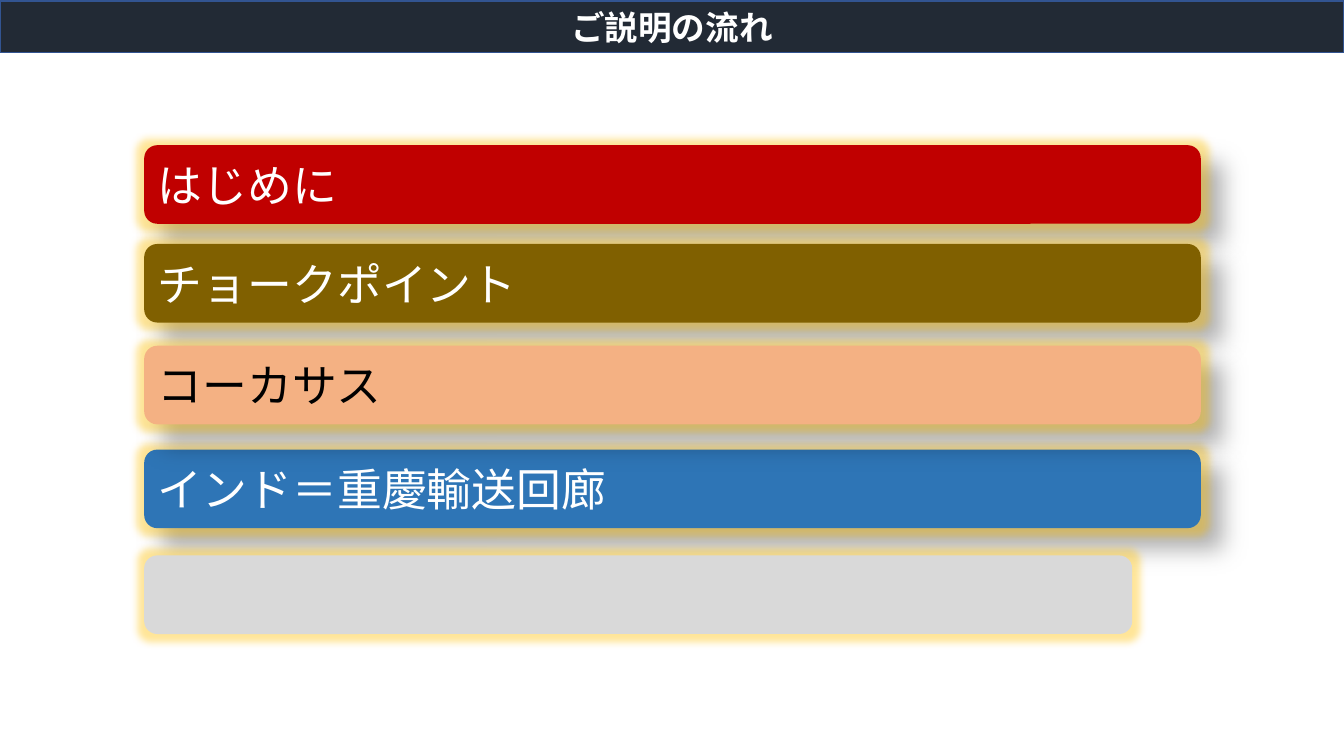
from lxml.etree import SubElement
from pptx import Presentation
from pptx.dml.color import RGBColor
from pptx.enum.shapes import MSO_SHAPE
from pptx.enum.text import MSO_ANCHOR, PP_ALIGN
from pptx.oxml.ns import qn
from pptx.util import Inches, Pt

FONT = "Noto Sans CJK JP"
WHITE = RGBColor(0xFF, 0xFF, 0xFF)
BLACK = RGBColor(0, 0, 0)
NAVY = RGBColor(0x22, 0x2A, 0x35)
EDGE = RGBColor(0x32, 0x54, 0x91)
BLUE = RGBColor(0x2E, 0x75, 0xB6)
RED = RGBColor(0xC0, 0, 0)
BROWN = RGBColor(0x80, 0x60, 0)
PEACH = RGBColor(0xF4, 0xB1, 0x83)
GREY = RGBColor(0xD9, 0xD9, 0xD9)
GOLD = RGBColor(0xFF, 0xC0, 0)

WIDE, HIGH = 13.33, 7.5
TITLE = "ご説明の流れ"
LEFT, BAR = 1.43, 0.78
FULL, SHORT = 10.48, 9.8
# Back to front: text, top, width, fill, text colour
TOPICS = [
    ("インド＝重慶輸送回廊", 4.46, FULL, BLUE, WHITE),
    ("はじめに", 1.44, FULL, RED, WHITE),
    ("チョークポイント", 2.42, FULL, BROWN, WHITE),
    ("コーカサス", 3.43, FULL, PEACH, BLACK),
    ("", 5.51, SHORT, GREY, BLACK),
]


def add_box(slide, kind, box, fill):
    shape = slide.shapes.add_shape(kind, *map(Inches, box))
    shape.shadow.inherit = False
    shape.fill.solid()
    shape.fill.fore_color.rgb = fill
    shape.line.fill.background()
    return shape


def write(shape, text, size, color, align=PP_ALIGN.LEFT, bold=False):
    frame = shape.text_frame
    frame.word_wrap = True
    frame.vertical_anchor = MSO_ANCHOR.MIDDLE
    para = frame.paragraphs[0]
    para.alignment = align
    run = para.add_run()
    run.text = text
    font = run.font
    font.size, font.bold, font.name = Pt(size), bold, FONT
    font.color.rgb = color
    SubElement(run._r.get_or_add_rPr(), qn("a:ea"), typeface=FONT)


def add_effect(shape, tag, color, alpha, **attrs):
    """Append a glow or shadow; alpha is a percentage."""
    effects = shape._element.spPr.find(qn("a:effectLst"))
    effect = SubElement(effects, qn(tag), {k: str(v) for k, v in attrs.items()})
    tint = SubElement(effect, qn("a:srgbClr"), val=str(color))
    SubElement(tint, qn("a:alpha"), val=str(alpha * 1000))


def main():
    deck = Presentation()
    deck.slide_width, deck.slide_height = Inches(WIDE), Inches(HIGH)
    slide = deck.slides.add_slide(deck.slide_layouts[6])

    head = add_box(slide, MSO_SHAPE.RECTANGLE, (0, 0.01, WIDE, 0.51), NAVY)
    head.line.color.rgb = EDGE
    head.line.width = Pt(1)
    write(head, TITLE, 24, WHITE, PP_ALIGN.CENTER, True)

    for text, top, width, fill, color in TOPICS:
        bar = add_box(slide, MSO_SHAPE.ROUNDED_RECTANGLE,
                      (LEFT, top, width, BAR), fill)
        add_effect(bar, "a:glow", GOLD, 40, rad=Pt(11))
        if text:
            add_effect(bar, "a:outerShdw", BLACK, 30, blurRad=Pt(15),
                       dist=Pt(18), dir=45 * 60000, algn="tl", rotWithShape=0)
            write(bar, text, 32, color)

    deck.save("out.pptx")


if __name__ == "__main__":
    main()
